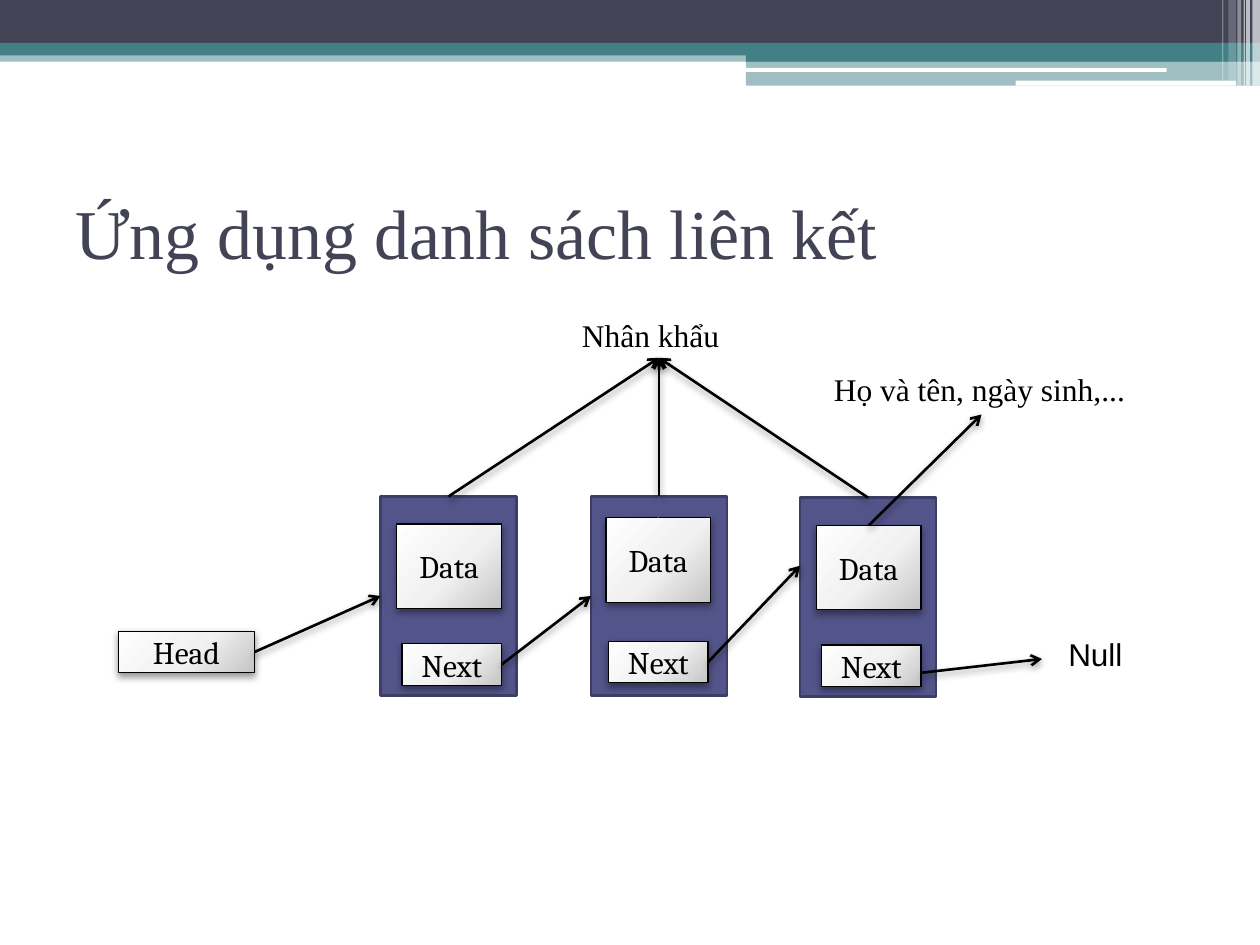
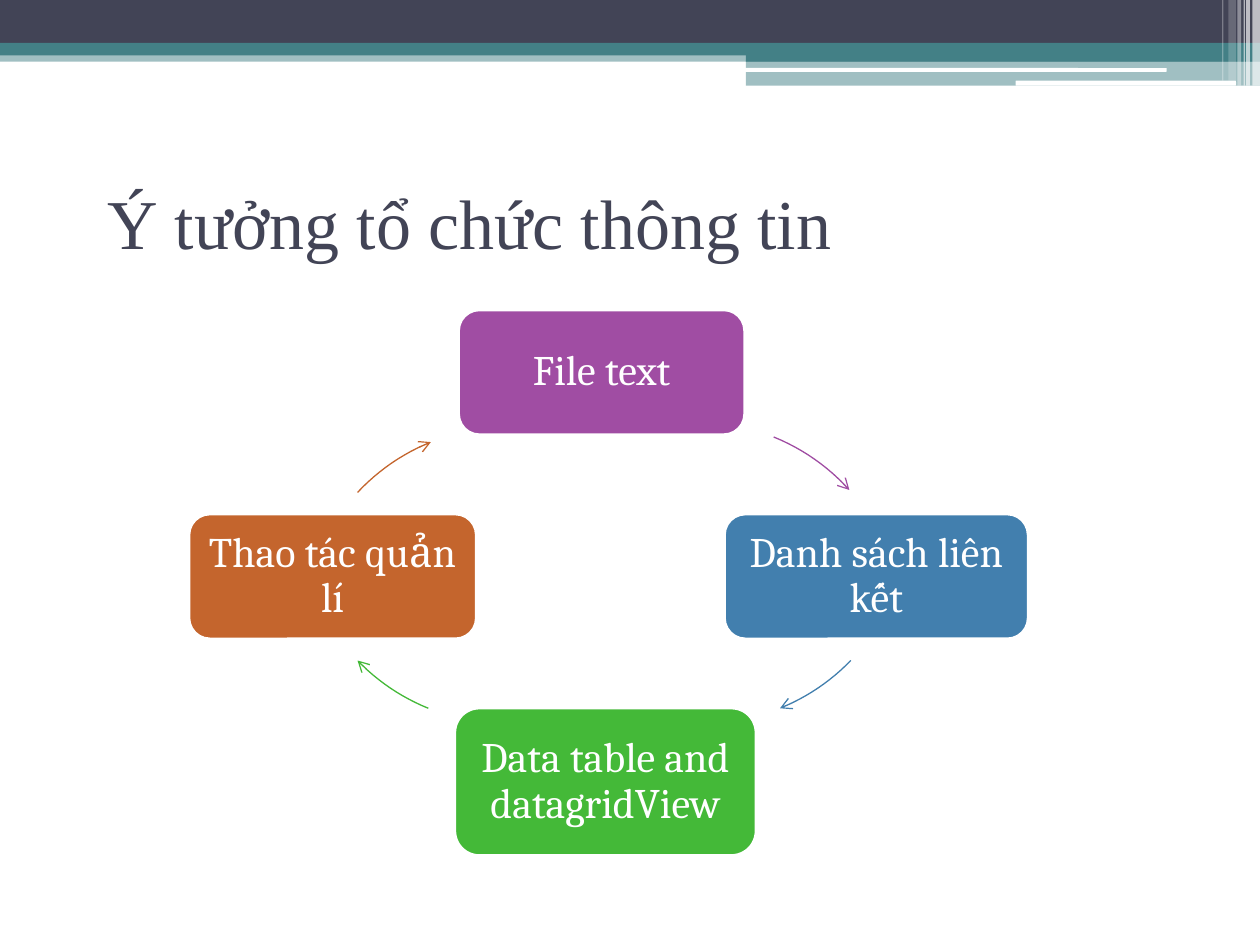
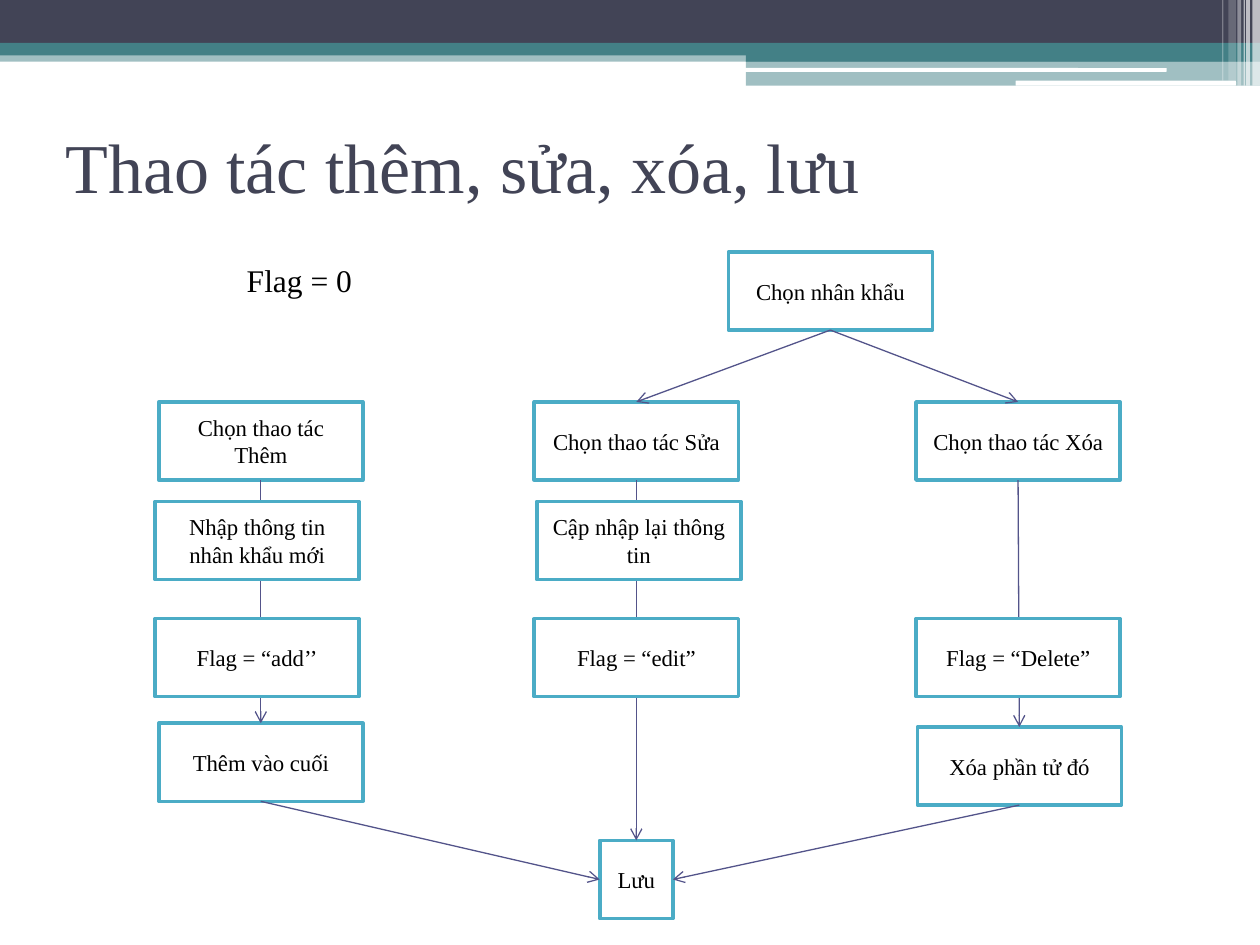
import math
from dataclasses import dataclass

from pptx import Presentation
from pptx import util as u
from pptx.dml.color import RGBColor
from pptx.enum import shapes, text
from pptx.oxml import parse_xml
from pptx.oxml.ns import nsdecls, qn

TOP, LEFT, BOTTOM, RIGHT = range(4)  # connection sites of a rectangle
RECT = shapes.MSO_SHAPE.RECTANGLE
ROUND = shapes.MSO_SHAPE.ROUNDED_RECTANGLE


@dataclass(frozen=True)
class Theme:
    navy: str = "424456"
    teal: str = "438086"
    indigo: str = "53548A"
    indigo_dark: str = "3D3E66"
    aqua: str = "4BACC6"
    white: str = "FFFFFF"
    black: str = "000000"
    purple: str = "A04DA3"
    blue: str = "427FAE"
    green: str = "44B938"
    orange: str = "C4652D"
    silver: tuple = ((0, "FEFEFE"), (55, "F1F1F1"), (100, "C5C5C5"))
    serif: str = "Times New Roman"
    label: str = "Cambria"
    sans: str = "Arial"
    title_size: int = 40
    cycle_size: int = 24
    body_size: int = 18
    step_size: int = 13


T = Theme()

# left, top, width, height, colour, opacity in percent, shape
BANDS = [
    (0, 0.4, 10, 0.09, T.teal, 50, RECT),
    (0, 0, 10, 0.34, T.navy, 100, RECT),
    (0, 0.34, 10, 0.1, T.teal, 100, RECT),
    (5.92, 0.39, 4.08, 0.1, T.teal, 100, RECT),
    (5.92, 0.48, 4.08, 0.2, T.teal, 50, RECT),
    (5.91, 0.54, 3.35, 0.03, T.white, 100, ROUND),
    (8.06, 0.64, 1.75, 0.04, T.white, 100, ROUND),
    (9.94, 0, 0.06, 0.68, T.white, 65, RECT),
    (9.89, 0, 0.03, 0.68, T.white, 65, RECT),
    (9.87, 0, 0.01, 0.68, T.white, 60, RECT),
    (9.82, 0, 0.03, 0.68, T.white, 40, RECT),
    (9.75, 0, 0.06, 0.64, T.white, 20, RECT),
    (9.7, 0, 0.01, 0.64, T.white, 30, RECT),
]


def rgb(color):
    return RGBColor.from_string(color)


def inches(*values):
    return [u.Inches(v) for v in values]


def write(sp, words, size, font, color, align=None, spacing=None, **frame):
    tf = sp.text_frame
    for name, value in frame.items():
        setattr(tf, name, value)
    p = tf.paragraphs[0]
    for name, value in {"alignment": align, "line_spacing": spacing}.items():
        setattr(p, name, value)
    r = p.add_run()
    r.text = words
    for name, value in {"size": u.Pt(size), "name": font}.items():
        setattr(r.font, name, value)
    r.font.color.rgb = rgb(color)


def box(slide, at, fill=None, line=None, width=0.75, kind=RECT):
    sp = slide.shapes.add_shape(kind, *inches(*at))
    sp.shadow.inherit = False
    if fill:
        sp.fill.solid()
        sp.fill.fore_color.rgb = rgb(fill)
    if line:
        sp.line.color.rgb = rgb(line)
        sp.line.width = u.Pt(width)
    else:
        sp.line.fill.background()
    return sp


def label(slide, at, words, font=T.serif, wrap=True):
    sp = slide.shapes.add_textbox(*inches(*at))
    write(sp, words, T.body_size, font, T.black, word_wrap=wrap,
          auto_size=text.MSO_AUTO_SIZE.SHAPE_TO_FIT_TEXT)
    return sp


def set_effects(sp, shadow):
    """Replace the effects by a soft shadow, or by none."""
    spPr = sp.element.spPr
    for old in spPr.findall(qn("a:effectLst")):
        spPr.remove(old)
    drop = (f'<a:outerShdw blurRad="{u.Pt(4.1)}" dist="{u.Pt(2)}" dir="5400000" '
            f'rotWithShape="0"><a:srgbClr val="{T.black}"><a:alpha val="40000"/>'
            '</a:srgbClr></a:outerShdw>') if shadow else ""
    spPr.append(parse_xml(f'<a:effectLst {nsdecls("a")}>{drop}</a:effectLst>'))


def set_silver(sp):
    """Fill with the light gradient that darkens to the lower right."""
    stops = "".join(f'<a:gs pos="{pos * 1000}"><a:srgbClr val="{c}"/></a:gs>'
                    for pos, c in T.silver)
    sp.element.spPr.find(qn("a:prstGeom")).addnext(parse_xml(
        f'<a:gradFill {nsdecls("a")} rotWithShape="1"><a:gsLst>{stops}</a:gsLst>'
        '<a:path path="circle"><a:fillToRect l="-40000" t="-90000" '
        'r="140000" b="190000"/></a:path></a:gradFill>'))


def set_arrowhead(sp):
    sp.line._get_or_add_ln().append(
        parse_xml(f'<a:tailEnd {nsdecls("a")} type="arrow"/>'))


def arrow(slide, start, end, color=T.indigo, width=0.75, shadow=False):
    """Draw from start to end; each is (x, y) or (shape, site)."""
    ends = [start, end]
    free = [p if isinstance(p[0], (int, float)) else (0, 0) for p in ends]
    cxn = slide.shapes.add_connector(
        shapes.MSO_CONNECTOR.STRAIGHT, *inches(*free[0], *free[1]))
    for point, connect in zip(ends, (cxn.begin_connect, cxn.end_connect)):
        if not isinstance(point[0], (int, float)):
            connect(*point)
    cxn.line.color.rgb = rgb(color)
    cxn.line.width = u.Pt(width)
    set_arrowhead(cxn)
    set_effects(cxn, shadow)


def add_bands(layout, slide):
    """Draw the top bands and move them to the layout, behind its placeholders."""
    for i, (*at, color, opacity, kind) in enumerate(BANDS):
        band = box(slide, at, color, kind=kind)
        if opacity < 100:
            clr = next(band.element.spPr.iter(qn("a:srgbClr")))
            clr.append(parse_xml(
                f'<a:alpha {nsdecls("a")} val="{opacity * 1000}"/>'))
        layout.shapes.element.insert(2 + i, band.element)


def add_title(slide, words, left, top):
    title = slide.shapes.title
    places = dict(zip(("left", "top", "width", "height"),
                      inches(left, top, 9, 1.17)))
    for name, value in places.items():
        setattr(title, name, value)
    write(title, words, T.title_size, T.serif, T.navy,
          align=text.PP_ALIGN.LEFT, vertical_anchor=text.MSO_ANCHOR.MIDDLE)


def silver_box(slide, at, words):
    sp = box(slide, at, line=T.black)
    set_silver(sp)
    set_effects(sp, True)
    write(sp, words, T.body_size, T.label, T.black, text.PP_ALIGN.CENTER)
    return sp


def list_node(slide, x, y, data_at=(0.13, 0.22), next_at=(0.17, 1.17)):
    node = box(slide, (x, y, 1.08, 1.58), T.indigo, T.indigo_dark, 1.5)
    data = silver_box(slide, (x + data_at[0], y + data_at[1], 0.83, 0.67), "Data")
    pointer = silver_box(slide, (x + next_at[0], y + next_at[1], 0.79, 0.33), "Next")
    return node, data, pointer


def linked_list(slide, x, y):
    def strong(start, end):
        arrow(slide, start, end, T.black, 1.5, shadow=True)

    node1, _, next1 = list_node(slide, x + 2.08, y + 1.48)
    node2, data2, next2 = list_node(slide, x + 3.75, y + 1.48,
                                    (0.12, 0.17), (0.14, 1.15))
    node3, data3, next3 = list_node(slide, x + 5.41, y + 1.49)
    head = silver_box(slide, (x, y + 2.55, 1.08, 0.33), "Head")
    label(slide, (x + 7.44, y + 2.53, 1.08, 0.4), "Null", T.sans)
    strong((head, RIGHT), (node1, LEFT))
    strong((next1, RIGHT), (node2, LEFT))
    strong((next2, RIGHT), (x + 5.41, y + 2.03))
    strong((x + 6.37, y + 2.88), (x + 7.33, y + 2.77))

    person = label(slide, (x + 3.58, y, 1.42, 0.4), "Nhân khẩu")
    for node in (node1, node2, node3):
        strong((node, TOP), (x + 4.29, y + 0.38))
    details = label(slide, (x + 5.58, y + 0.43, 2.54, 0.4),
                    "Họ và tên, ngày sinh,...", wrap=False)
    arrow(slide, (data2, TOP), (node2, TOP))
    strong((data3, TOP), (details, BOTTOM))


def arc_arrow(slide, cx, cy, start, end, color, radius=1.63, steps=12):
    """Clockwise arc around (cx, cy); angles in degrees from three o'clock."""
    angles = [math.radians(start + (end - start) * i / steps)
              for i in range(steps + 1)]
    points = [inches(cx + radius * math.cos(a), cy + radius * math.sin(a))
              for a in angles]
    builder = slide.shapes.build_freeform(*points[0])
    builder.add_line_segments(points[1:], close=False)
    sp = builder.convert_to_shape()
    sp.shadow.inherit = False
    sp.fill.background()
    sp.line.color.rgb = rgb(color)
    sp.line.width = u.Pt(0.75)
    set_arrowhead(sp)


def cycle(slide, x, y):
    # words, colour, box, then centre and angles of the arrow that leaves it
    stages = [
        ("File text", T.purple, (2.14, 0, 2.27, 0.99), (4.03, 2.52, -68, -42)),
        ("Danh sách liên kết", T.blue, (4.25, 1.62, 2.41, 0.99),
         (4.08, 1.65, 44, 68)),
        ("Data table and datagridView", T.green, (2.11, 3.16, 2.39, 1.17),
         (2.51, 1.65, 112, 136)),
        ("Thao tác quản lí", T.orange, (0, 1.62, 2.28, 0.99),
         (2.53, 2.56, 223, 248)),
    ]
    margins = {f"margin_{side}": u.Inches(0.1)
               for side in ("left", "top", "right", "bottom")}
    for words, color, (left, top, w, h), (cx, cy, start, end) in stages:
        sp = box(slide, (x + left, y + top, w, h), color, T.white, 1.5, ROUND)
        write(sp, words, T.cycle_size, T.label, T.white,
              text.PP_ALIGN.CENTER, 0.9, **margins)
        arc_arrow(slide, x + cx, y + cy, start, end, color)


def step(slide, x, y, words, w=1.62):
    sp = box(slide, (x, y, w, 0.62), T.white, T.aqua, 2)
    write(sp, words, T.step_size, T.serif, T.black, text.PP_ALIGN.CENTER)
    return sp


def branch(slide, first, middle, last):
    """Join first and last by an arrow, with the middle steps on top of it."""
    arrow(slide, (first, BOTTOM), (last, TOP))
    for x, y, words in middle:
        step(slide, x, y, words)


def operations(slide, x, y):
    row1, row2, row3, row4 = y + 1.19, y + 1.98, y + 2.91, y + 3.74
    add_x, edit_x, delete_x = x, x + 2.98, x + 6.01

    label(slide, (x + 0.6, y + 0.02, 1.05, 0.4), "Flag = 0", wrap=False)
    pick = step(slide, x + 4.52, y, "Chọn nhân khẩu")
    add = step(slide, add_x, row1, "Chọn thao tác Thêm")
    edit = step(slide, edit_x, row1, "Chọn thao tác Sửa")
    delete = step(slide, delete_x, row1, "Chọn thao tác Xóa")
    append = step(slide, add_x, row4, "Thêm vào cuối")
    remove = step(slide, delete_x + 0.01, row4 + 0.03, "Xóa phần tử đó")
    save = step(slide, x + 3.5, y + 4.67, "Lưu", 0.58)

    branch(slide, add, [(add_x - 0.03, row2, "Nhập thông tin nhân khẩu mới"),
                        (add_x - 0.03, row3, "Flag = “add’’")], append)
    branch(slide, edit, [(edit_x + 0.02, row2, "Cập nhập lại thông tin"),
                         (edit_x, row3, "Flag = “edit”")], save)
    branch(slide, delete, [(delete_x, row3, "Flag = “Delete”")], remove)
    for target in (edit, delete):
        arrow(slide, (pick, BOTTOM), (target, TOP))
    arrow(slide, (append, BOTTOM), (save, LEFT))
    arrow(slide, (remove, BOTTOM), (save, RIGHT))


def main():
    prs = Presentation()
    prs.slide_width, prs.slide_height = inches(10, 7.5)
    layout = prs.slide_layouts[5]
    pages = [
        ("Ứng dụng danh sách liên kết", (0.5, 1.25), linked_list, (0.94, 2.46)),
        ("Ý tưởng tổ chức thông tin", (0.75, 1.17), cycle, (1.5, 2.46)),
        ("Thao tác thêm, sửa, xóa, lưu", (0.42, 0.73), operations, (1.26, 2)),
    ]
    for i, (title, title_at, draw, at) in enumerate(pages):
        slide = prs.slides.add_slide(layout)
        if i == 0:
            add_bands(layout, slide)
        add_title(slide, title, *title_at)
        draw(slide, *at)
    prs.save("out.pptx")


if __name__ == "__main__":
    main()
